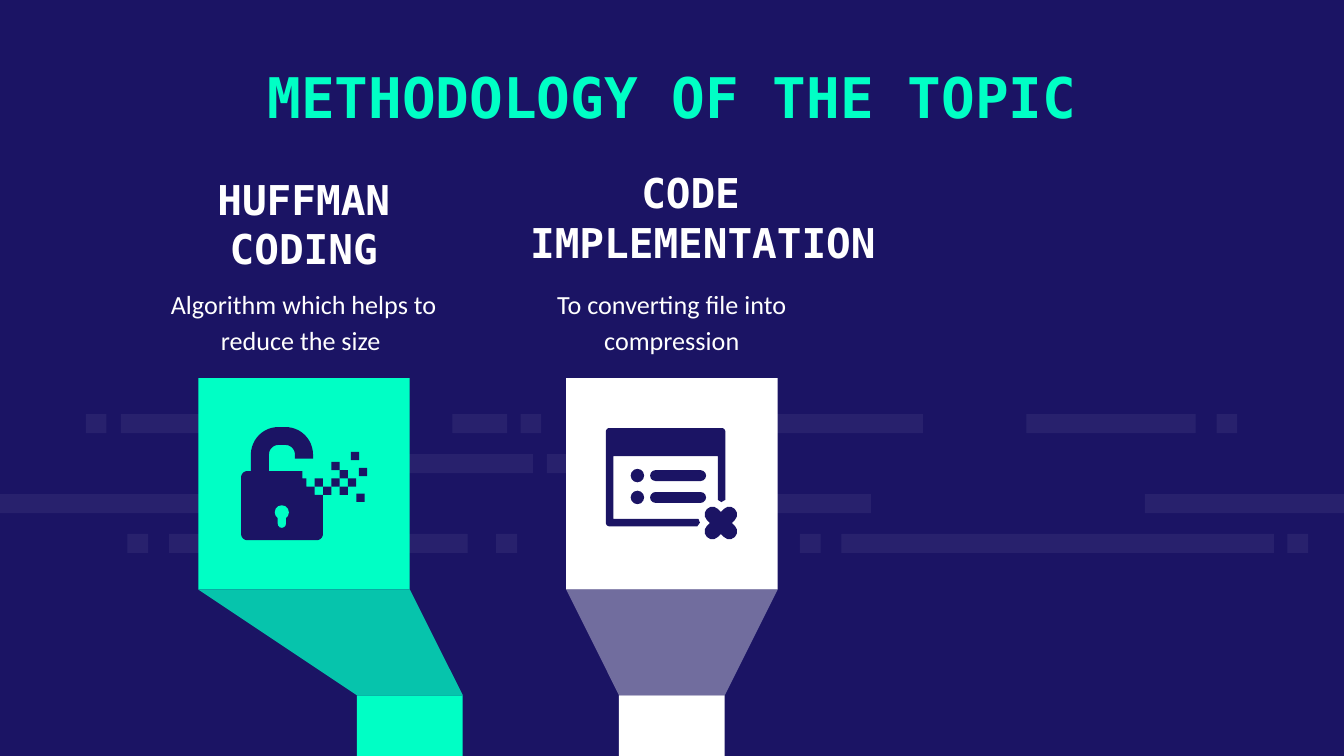
import math

import lxml.etree
import pptx
import pptx.dml.color
import pptx.enum.shapes
import pptx.enum.text
import pptx.oxml.ns
import pptx.util

Pt = pptx.util.Pt
SHAPE = pptx.enum.shapes.MSO_SHAPE
ANCHOR = pptx.enum.text.MSO_ANCHOR
NAVY = pptx.dml.color.RGBColor(0x1B, 0x14, 0x64)
MINT = pptx.dml.color.RGBColor(0x00, 0xFF, 0xC5)
WHITE = pptx.dml.color.RGBColor(0xFF, 0xFF, 0xFF)
MONO, SANS = "DejaVu Sans Mono", "Calibri"


def paint(sp, color, alpha=100):
    sp.shadow.inherit = False
    sp.line.fill.background()
    sp.fill.solid()
    sp.fill.fore_color.rgb = color
    if alpha < 100:
        clr = sp.fill._xPr.find(".//" + pptx.oxml.ns.qn("a:srgbClr"))
        lxml.etree.SubElement(clr, pptx.oxml.ns.qn("a:alpha"), val=str(alpha * 1000))


def add(kind, x, y, w, h, color, alpha=100):
    sp = s.shapes.add_shape(kind, Pt(x), Pt(y), Pt(w), Pt(h))
    paint(sp, color, alpha)
    if kind == SHAPE.ROUNDED_RECTANGLE:
        sp.adjustments[0] = 0.5
    return sp


prs = pptx.Presentation()
prs.slide_width, prs.slide_height = Pt(720), Pt(405)
s = prs.slides.add_slide(prs.slide_layouts[6])
s.background.fill.solid()
s.background.fill.fore_color.rgb = NAVY

dash_rows = [
    [(46, 11), (64.8, 105), (242.4, 29.3), (278.9, 11), (403.8, 90.7), (549.8, 90.7), (651.8, 11)],
    [(215.3, 70.3), (293, 28.8)],
    [(0, 106.6), (360, 106.6), (613.4, 106.6)],
    [(68.2, 11.2), (90.6, 160), (265.8, 11.2), (428.5, 11.2), (450.7, 231.8), (689.6, 11.2)],
]
for row, dashes in enumerate(dash_rows):
    for x, w in dashes:
        add(SHAPE.RECTANGLE, x, 221.9 + 21.4 * row, w, 10.2, WHITE, 6)

texts = [
    ("METHODOLOGY OF THE TOPIC", 100.8, 26.6, 518.4, 52.6, 30, MONO, MINT, ANCHOR.TOP, 7.2, 7.2),
    ("HUFFMAN CODING", 81.4, 112.3, 162.7, 33.8, 22, MONO, WHITE, ANCHOR.BOTTOM, 7.2, 0),
    ("CODE \vIMPLEMENTATION", 272.2, 135.4, 208.8, 33.8, 22, MONO, WHITE, ANCHOR.BOTTOM, 7.2, 26.5),
    ("Algorithm which helps to reduce the size ", 81.4, 151.9, 162.7, 33.8, 14, SANS, WHITE, ANCHOR.TOP, 0, 7.2),
    ("To converting file into compression", 278.6, 151.9, 162.7, 33.8, 14, SANS, WHITE, ANCHOR.TOP, 0, 7.2),
]
for text, x, y, w, h, size, font, color, anchor, top, bottom in texts:
    tf = s.shapes.add_textbox(Pt(x), Pt(y), Pt(w), Pt(h)).text_frame
    tf.word_wrap = True
    tf.vertical_anchor = anchor
    tf.margin_left = tf.margin_right = Pt(7.2)
    tf.margin_top, tf.margin_bottom = Pt(top), Pt(bottom)
    p = tf.paragraphs[0]
    p.text = text
    p.alignment = pptx.enum.text.PP_ALIGN.CENTER
    p.line_spacing = 1.15 if font == SANS else 1.0
    p.font.name, p.font.size = font, Pt(size)
    p.font.bold = font == MONO
    p.font.color.rgb = color

side, post = 113.3, 56.7
square_top, funnel_top, post_top = 202.5, 315.8, 372.5
outlines = []
for x, post_x, color, layers in [
    (303.3, 331.6, WHITE, [(WHITE, 38)]),
    (106.2, 191.2, MINT, [(MINT, 100), (NAVY, 25)]),
]:
    add(SHAPE.RECTANGLE, x, square_top, side, side, color)
    add(SHAPE.RECTANGLE, post_x, post_top, post, 405 - post_top, color)
    funnel = [(x, funnel_top), (x + side, funnel_top), (post_x + post, post_top), (post_x, post_top)]
    outlines += [(funnel, layer, alpha) for layer, alpha in layers]

# Entries of five numbers are arcs: centre x, centre y, radius, first angle, last angle
lock = [
    (134.4, 252.4), (149.2, 243.6, 14.8, 180, 270), (152.9, 243.6, 14.8, 270, 360),
    (167.7, 245.8), (158, 245.8), (152.9, 243.5, 5.1, 360, 270), (149.2, 243.5, 5.1, 270, 180),
    (144.1, 252.4), (162, 252.4), (162, 256.3), (164.2, 256.3), (164.2, 260.8),
    (168.6, 260.8), (168.6, 265.2), (173, 265.2), (169.7, 286.1, 3.3, 0, 90),
    (132.5, 286.1, 3.3, 90, 180), (132.5, 255.7, 3.3, 180, 270),
]
window = [
    (326.6, 231.3, 2, 180, 270), (386.6, 231.3, 2, 270, 360), (388.6, 267.8), (386.5, 269),
    (384.6, 267.8), (384.6, 244.4), (328.6, 244.4), (328.6, 278), (374.2, 278), (375, 280),
    (373.6, 282), (326.6, 280, 2, 90, 180),
]
outlines += [(lock, NAVY, 100), (window, NAVY, 100)]
for parts, color, alpha in outlines:
    points = []
    for part in parts:
        if len(part) == 2:
            points.append(part)
            continue
        cx, cy, r, first, last = part
        for step in range(13):
            angle = math.radians(first + (last - first) * step / 12)
            points.append((cx + r * math.cos(angle), cy + r * math.sin(angle)))
    points = [(Pt(x), Pt(y)) for x, y in points]
    builder = s.shapes.build_freeform(*points[0])
    builder.add_line_segments(points[1:], close=True)
    paint(builder.convert_to_shape(), color, alpha)

add(SHAPE.OVAL, 147.2, 270.7, 7.6, 7.6, MINT)
add(SHAPE.ROUNDED_RECTANGLE, 148.8, 274, 4.4, 8.8, MINT)

pixel = 4.45
cells = [(0, 0), (1, 1), (2, 0), (3, -1), (2, -2), (3, 1), (4, 0)]
pixels = [(168.6 + pixel * col, 256.3 + pixel * row) for col, row in cells]
for x, y in pixels + [(190.9, 264.4), (192.2, 250.6), (187.9, 242.1)]:
    add(SHAPE.RECTANGLE, x, y, pixel, pixel, NAVY)

for y in (251.2, 262.9):
    add(SHAPE.OVAL, 337.9, y, 7.2, 7.2, NAVY)
    add(SHAPE.ROUNDED_RECTANGLE, 348.3, y + 0.7, 30, 5.8, NAVY)
for turn in (45, -45):
    sp = add(SHAPE.ROUNDED_RECTANGLE, 375.6, 276, 21.2, 8.4, NAVY)
    sp.rotation = turn

prs.save("out.pptx")
